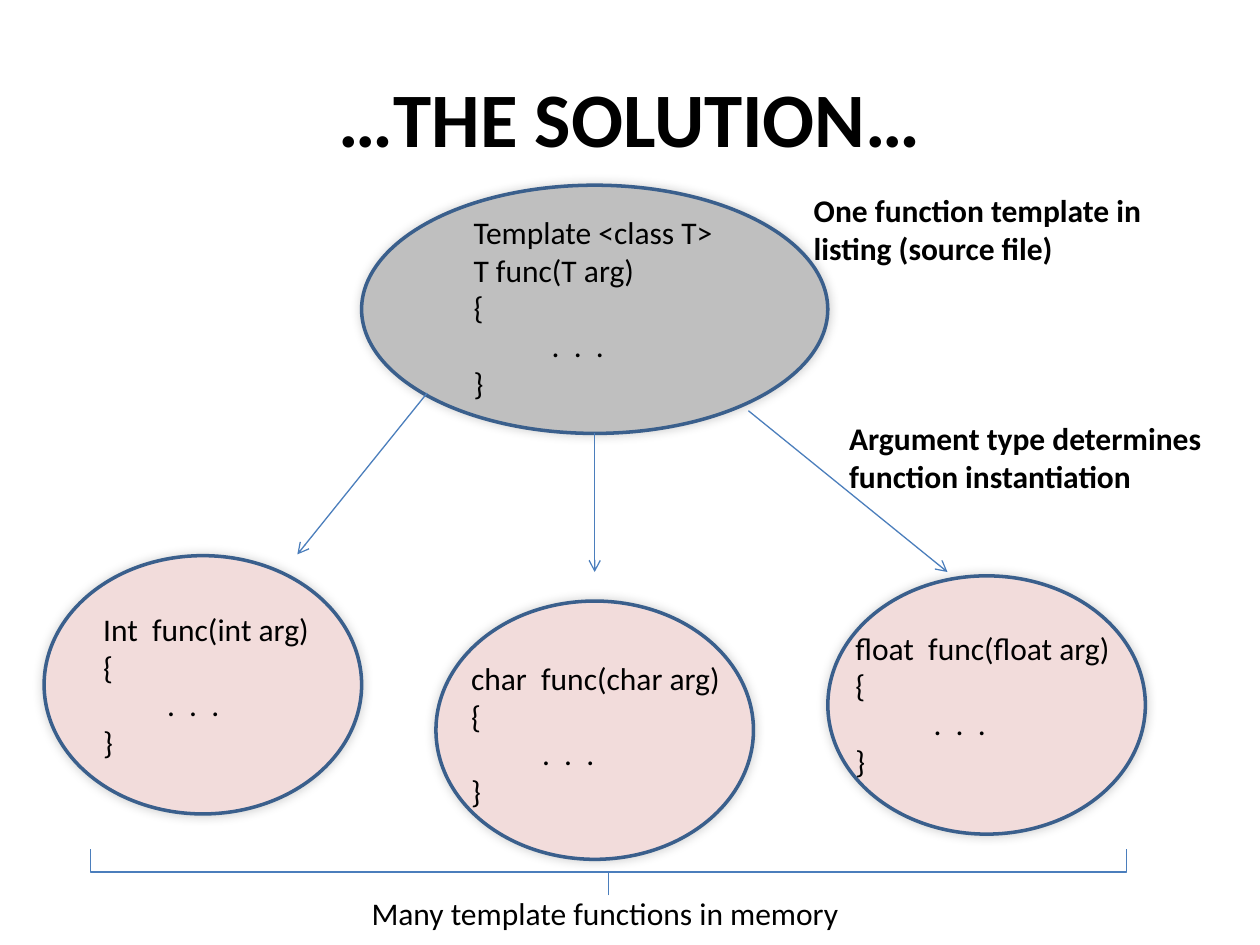
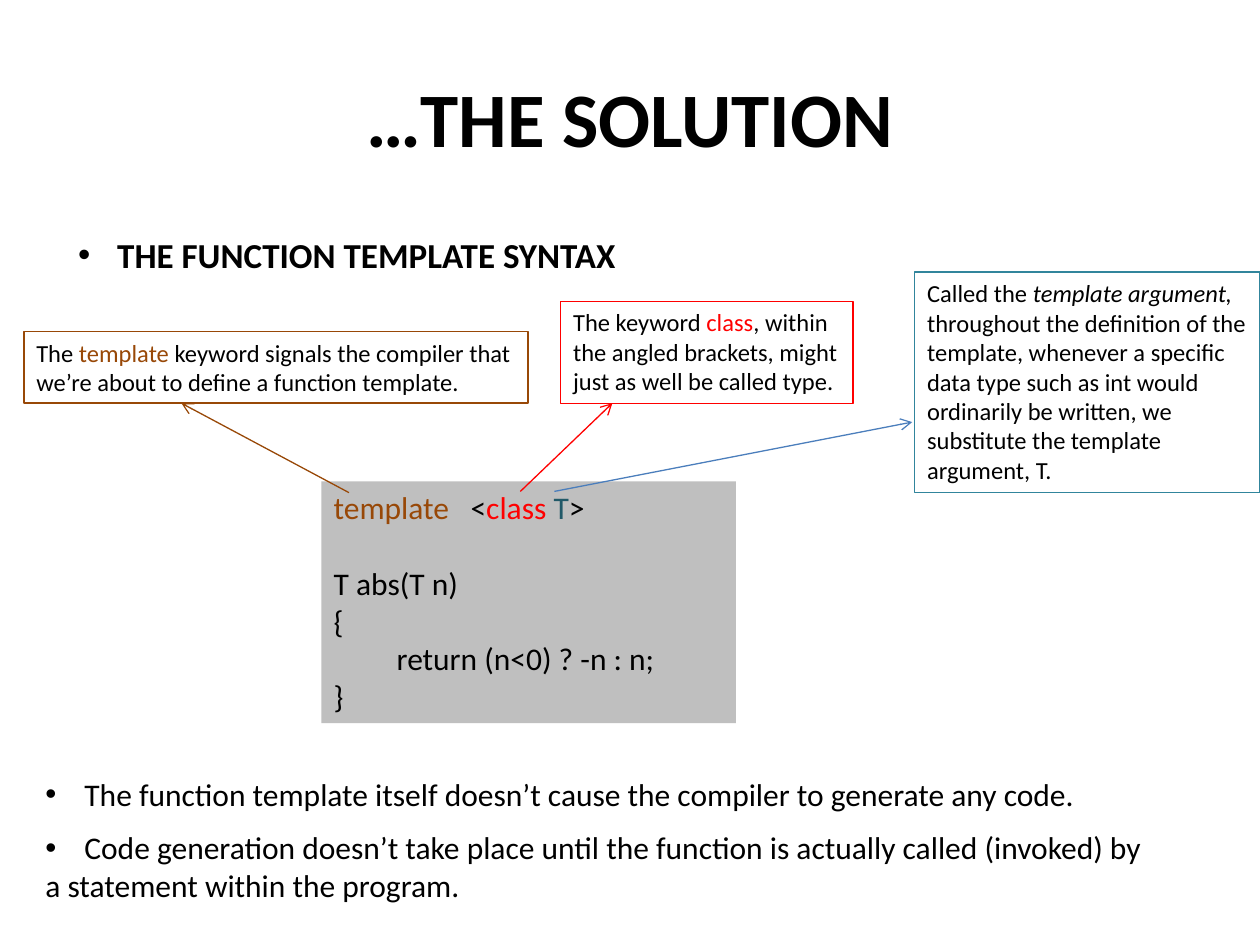
from lxml import etree
from pptx import Presentation
from pptx import util as u
from pptx.dml.color import RGBColor
from pptx.enum import shapes, text
from pptx.oxml import parse_xml
from pptx.oxml.ns import nsdecls, qn

PX = 9144
FONT = "Calibri"
C = {
    "ink": "000000", "code": "BFBFBF", "instance": "F2DCDB", "outline": "3A5F8C",
    "arrow": "4B7EBC", "template": "984807", "class": "FF0000", "type": "215968",
    "argument": "31859C",
}
TITLE_BOX = (50, 30, 900, 125)
BULLET_INDENT = 31
SHADOW = (
    f'<a:outerShdw {nsdecls("a")} blurRad="76200" dist="0" dir="18900000" '
    'algn="ctr" rotWithShape="0"><a:srgbClr val="000000">'
    '<a:alpha val="20000"/></a:srgbClr></a:outerShdw>'
)


def px(*values):
    """Turn px lengths into EMU."""
    return [u.Emu(v * PX) for v in values]


def rgb(name):
    """Return the named colour."""
    return RGBColor.from_string(C[name])


def write(tf, lines, **fmt):
    """Write one paragraph per line; a line is a string or (text, format) runs."""
    for i, line in enumerate(lines):
        p = tf.paragraphs[0] if i == 0 else tf.add_paragraph()
        p.space_before = u.Pt(0)
        for part, extra in [(line, {})] if isinstance(line, str) else line:
            r = p.add_run()
            r.text = part
            values = {"name": FONT, "color": "ink", **fmt, **extra}
            r.font.color.rgb = rgb(values.pop("color"))
            for key, value in values.items():
                setattr(r.font, key, value)


def place(sp, box):
    """Move a shape to its box."""
    for key, value in zip(("left", "top", "width", "height"), px(*box)):
        setattr(sp, key, value)


def title(s, words):
    """Fill the title placeholder."""
    sp = s.shapes.title
    place(sp, TITLE_BOX)
    sp.text_frame.vertical_anchor = text.MSO_ANCHOR.MIDDLE
    write(sp.text_frame, [words], size=u.Pt(44), bold=True)
    sp.text_frame.paragraphs[0].alignment = text.PP_ALIGN.CENTER


def label(s, box, lines, size=18, fill=None, line=None, **fmt):
    """Add a text box, filled or outlined when a colour is named."""
    sp = s.shapes.add_textbox(*px(*box))
    sp.text_frame.word_wrap = False
    if fill:
        sp.fill.solid()
        sp.fill.fore_color.rgb = rgb(fill)
    if line:
        sp.line.color.rgb = rgb(line)
        sp.line.width = u.Pt(0.75)
    write(sp.text_frame, lines, size=u.Pt(size), **fmt)
    return sp


def bullets(sp, box, lines, size, plain=(), gap=0, **fmt):
    """Fill a body placeholder; the lines numbered in plain have no bullet."""
    place(sp, box)
    tf = sp.text_frame
    tf.auto_size = text.MSO_AUTO_SIZE.NONE
    write(tf, lines, size=u.Pt(size), **fmt)
    for i, p in enumerate(tf.paragraphs):
        pPr = p._p.get_or_add_pPr()
        indent = 0 if i in plain else BULLET_INDENT * PX
        pPr.set("marL", str(indent))
        pPr.set("indent", str(-indent))
        if i in plain:
            etree.SubElement(pPr, qn("a:buNone"))
        elif i:
            p.space_before = u.Pt(gap)


def arrow(s, start, end, color="arrow"):
    """Draw a thin arrow between two points."""
    sp = s.shapes.add_connector(shapes.MSO_CONNECTOR.STRAIGHT, *px(*start, *end))
    sp.line.color.rgb = rgb(color)
    sp.line.width = u.Pt(0.75)
    etree.SubElement(sp.line._get_or_add_ln(), qn("a:tailEnd"), type="arrow")
    etree.SubElement(sp._element.spPr, qn("a:effectLst"))


def code_oval(s, box, fill, inset, lines):
    """Draw a shadowed ellipse with code inset from its top left corner."""
    x, y, w, h = box
    dx, dy, text_w = inset
    sp = s.shapes.add_shape(shapes.MSO_SHAPE.OVAL, *px(*box))
    sp.shadow.inherit = False
    sp._element.spPr.find(qn("a:effectLst")).append(parse_xml(SHADOW))
    sp.fill.solid()
    sp.fill.fore_color.rgb = rgb(fill)
    sp.line.color.rgb = rgb("outline")
    sp.line.width = u.Pt(2)
    label(s, (x + dx, y + dy, text_w, h - 2 * dy), lines)


def memory_brace(s, box, caption):
    """Draw a square brace that opens upward across the box, over a caption."""
    x, y, w, h = box
    cx, cy = x + w // 2, y + h // 2
    sp = s.shapes.add_shape(
        shapes.MSO_SHAPE.LEFT_BRACE, *px(cx - h // 2, cy - w // 2, h, w))
    sp.rotation = 270
    sp.adjustments[0], sp.adjustments[1] = 0, 0.5
    sp.shadow.inherit = False
    sp.fill.background()
    sp.line.color.rgb = rgb("arrow")
    sp.line.width = u.Pt(0.75)
    label(s, (cx - 198, y + h - 5, 395, 40), [caption])


def instantiation_slide(prs):
    """Show one template turning into three functions."""
    s = prs.slides.add_slide(prs.slide_layouts[5])
    title(s, "…THE SOLUTION…")
    code_oval(s, (287, 147, 370, 197), "code", (79, 17, 212),
              ["Template <class T>", "T func(T arg)", "{", " " * 11 + ".  .  .", "}"])
    for start, end in (((472, 344), (472, 454)), ((594, 326), (752, 454)),
                       ((339, 312), (236, 440))):
        arrow(s, start, end)
    for kind, x, y, inset, spaces in (
            ("Int  func(int arg)", 35, 441, (37, 38, 185), 9),
            ("float  func(float arg)", 657, 457, (12, 37, 225), 11),
            ("char  func(char arg)", 346, 477, (18, 41, 220), 10)):
        code_oval(s, (x, y, 252, 205), "instance", inset,
                  [kind, "{", " " * spaces + ".  .  .", "}"])
    label(s, (636, 147, 282, 71),
          ["One function template in", "listing (source file)"], bold=True)
    label(s, (664, 328, 302, 71),
          ["Argument type determines", "function instantiation"], bold=True)
    memory_brace(s, (72, 674, 822, 36), "Many template functions in memory")


def syntax_slide(prs):
    """Explain each part of the template header."""
    s = prs.slides.add_slide(prs.slide_layouts[3])
    title(s, "…THE SOLUTION")
    heading, notes = list(s.placeholders)[1:3]
    brown, red, teal = ({"color": k} for k in ("template", "class", "type"))
    code = label(s, (255, 382, 329, 192), [
        [("template ", brown), ("  <", {}), ("class ", red), ("T", teal), (">", {})],
        "T abs(T n)", "{", "\treturn (n<0) ? -n : n;", "}"], fill="code")
    code.text_frame.paragraphs[1].space_before = u.Pt(22)
    bullets(heading, (52, 180, 450, 44), ["THE FUNCTION TEMPLATE SYNTAX"], 20, bold=True)
    callouts = (
        ((19, 263, 400, 57), "template", [
            [("The ", {}), ("template", brown),
             (" keyword signals the compiler that", {})],
            "we’re about to define a function template."]),
        ((445, 239, 232, 81), "class", [
            [("The keyword ", {}), ("class", red), (", within", {})],
            "the angled brackets, might", "just as well be called type."]),
        ((726, 216, 274, 175), "argument", [
            [("Called the ", {}), ("template argument,", {"italic": True})],
            "throughout the definition of the", "template, whenever a specific",
            "data type such as int would", "ordinarily be written, we",
            "substitute the template", "argument, T."]))
    for box, color, lines in callouts:
        label(s, box, lines, size=14, line=color)
    arrow(s, (277, 391), (144, 320), "template")
    arrow(s, (413, 390), (486, 320), "class")
    arrow(s, (440, 390), (724, 335))
    bullets(notes, (26, 610, 930, 113), [
        "The function template itself doesn’t cause the compiler to generate any code.",
        "Code generation doesn’t take place until the function is actually called "
        "(invoked) by",
        "a statement within the program."], 18, plain=(2,), gap=9)


def main():
    """Build and save the slides."""
    prs = Presentation()
    prs.slide_width, prs.slide_height = px(1000, 750)
    instantiation_slide(prs)
    syntax_slide(prs)
    prs.save("out.pptx")


if __name__ == "__main__":
    main()
